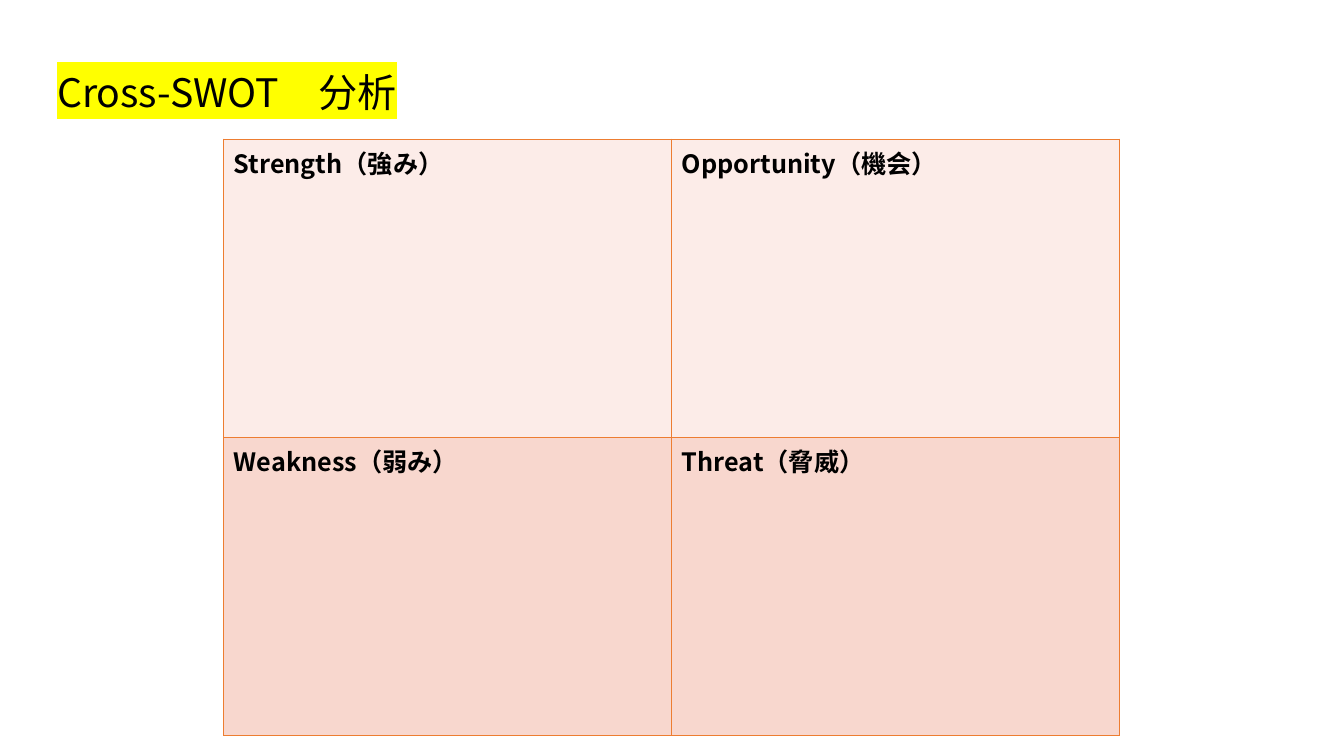
from dataclasses import dataclass

import lxml.etree
import pptx
import pptx.dml.color
import pptx.enum.text
import pptx.oxml.ns
import pptx.util

Cm = pptx.util.Cm
FONT = "Noto Sans CJK JP"
BLACK = "000000"
YELLOW = "FFFF00"
ORANGE = "ED7D31"


@dataclass(frozen=True)
class Quadrant:
    row: int
    column: int
    label: str
    fill: str


QUADRANTS = [
    Quadrant(0, 0, "Strength（強み）", "FCECE8"),
    Quadrant(0, 1, "Opportunity（機会）", "FCECE8"),
    Quadrant(1, 0, "Weakness（弱み）", "F8D7CE"),
    Quadrant(1, 1, "Threat（脅威）", "F8D7CE"),
]


def color(value: str) -> pptx.dml.color.RGBColor:
    return pptx.dml.color.RGBColor.from_string(value)


def add_element(parent, tag: str, **attributes: str):
    return lxml.etree.SubElement(parent, pptx.oxml.ns.qn(tag), attributes)


def write_text(text_frame, text: str, *, size: float, bold: bool = False,
               text_color: str = BLACK, highlight: str = "") -> None:
    run = text_frame.paragraphs[0].add_run()
    run.text = text
    run.font.size = pptx.util.Pt(size)
    run.font.bold = bold
    run.font.color.rgb = color(text_color)
    properties = run.font._element
    if highlight:
        add_element(add_element(properties, "a:highlight"), "a:srgbClr", val=highlight)
    for tag in ("a:latin", "a:ea"):
        add_element(properties, tag, typeface=FONT)


def add_title(slide) -> None:
    title = slide.shapes.add_textbox(Cm(1.19), Cm(1.6), Cm(11.02), Cm(1.45))
    title.text_frame.word_wrap = True
    title.text_frame.auto_size = pptx.enum.text.MSO_AUTO_SIZE.SHAPE_TO_FIT_TEXT
    write_text(title.text_frame, "Cross-SWOT　分析", size=28, highlight=YELLOW)


def draw_borders(cell, border_color: str, width: float) -> None:
    properties = cell._tc.get_or_add_tcPr()
    for position, side in enumerate(("a:lnL", "a:lnR", "a:lnT", "a:lnB")):
        line = add_element(properties, side, w=str(pptx.util.Pt(width)))
        add_element(add_element(line, "a:solidFill"), "a:srgbClr", val=border_color)
        properties.insert(position, line)


def add_swot_table(slide) -> None:
    table = slide.shapes.add_table(2, 2, Cm(5.64), Cm(3.51), Cm(22.58), Cm(15.02)).table
    table.first_row = False
    table.horz_banding = False
    for quadrant in QUADRANTS:
        cell = table.cell(quadrant.row, quadrant.column)
        cell.fill.solid()
        cell.fill.fore_color.rgb = color(quadrant.fill)
        draw_borders(cell, ORANGE, 1)
        write_text(cell.text_frame, quadrant.label, size=18, bold=True)


def main() -> None:
    presentation = pptx.Presentation()
    presentation.slide_width = Cm(33.87)
    presentation.slide_height = Cm(19.05)
    slide = presentation.slides.add_slide(presentation.slide_layouts[6])
    add_title(slide)
    add_swot_table(slide)
    presentation.save("out.pptx")


if __name__ == "__main__":
    main()
